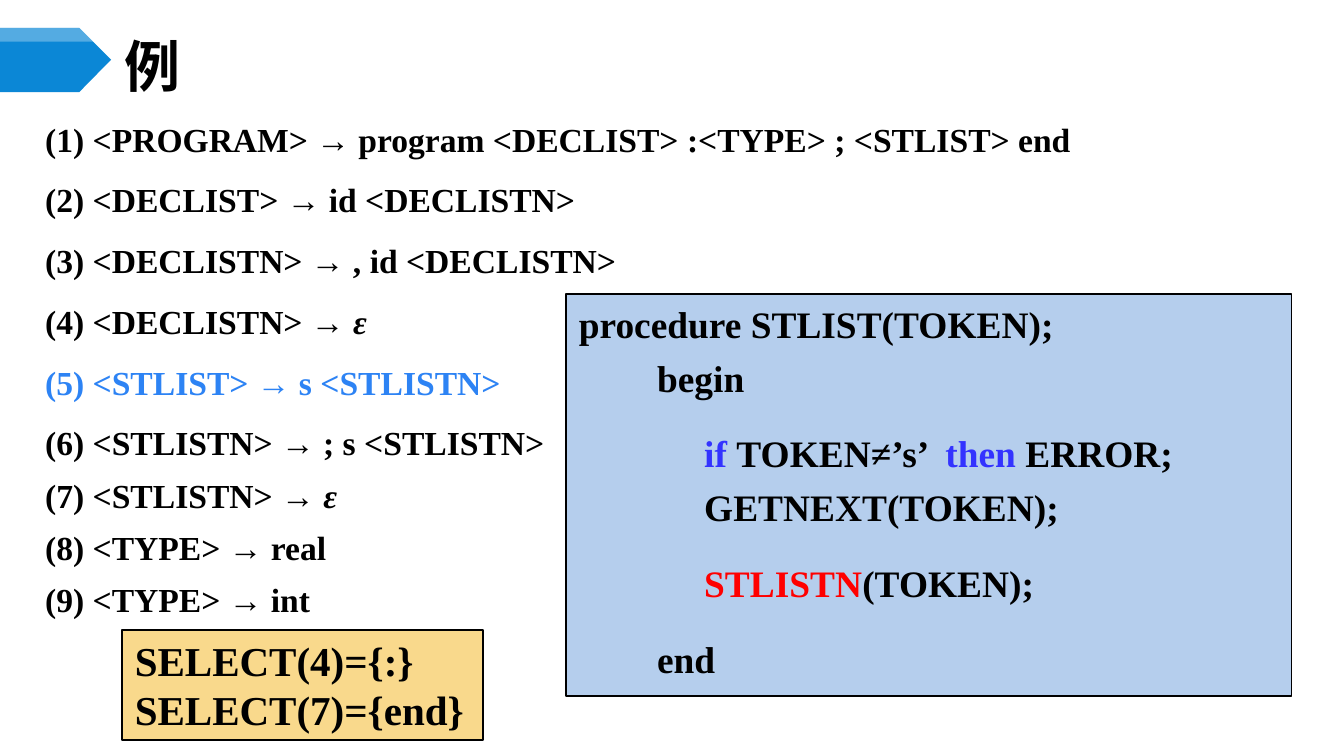
from lxml.etree import SubElement
from pptx import Presentation
from pptx.dml.color import RGBColor
from pptx.enum.shapes import MSO_SHAPE
from pptx.enum.text import MSO_ANCHOR, MSO_AUTO_SIZE, PP_ALIGN
from pptx.oxml.ns import qn
from pptx.util import Cm, Pt

COLORS = {
    "black": "000000", "white": "FFFFFF", "arrow": "0B87D6",
    "current": "2D83F4", "keyword": "3333FF", "call": "FF0000",
    "code": "B5CEED", "select": "F9D98C",
}
SERIF = "Times New Roman"
SANS = "Noto Sans CJK SC"


def rgb(name):
    return RGBColor.from_string(COLORS[name])


def write(para, spans, size, color="black", name=SERIF):
    """Fill a paragraph with (text, colour, italic) spans in one bold font."""
    para.alignment = PP_ALIGN.LEFT
    font = para.font
    font.size, font.name, font.bold = Pt(size), name, True
    font.color.rgb = rgb(color)
    for text, span_color, italic in spans:
        span = para.add_run()
        span.text = text
        if span_color:
            span.font.color.rgb = rgb(span_color)
        if italic:
            span.font.italic = True


deck = Presentation()
deck.slide_width = Cm(25.4)
deck.slide_height = deck.slide_width * 9 // 16
page = deck.slides.add_slide(deck.slide_layouts[1])
title, rules = page.shapes.title, page.placeholders[1]

# Arrow at the left edge, then a translucent band along its top
arrow_parts = [
    ("arrow", [(0, 0.53), (1.5, 0.53), (2.1, 1.13), (1.5, 1.74), (0, 1.74)]),
    ("white", [(0, 0.53), (1.5, 0.53), (1.76, 0.79), (0, 0.79)]),
]
for color, points in arrow_parts:
    corners = [(Cm(x), Cm(y)) for x, y in points]
    builder = page.shapes.build_freeform(*corners[0])
    builder.add_line_segments(corners[1:])
    part = builder.convert_to_shape()
    part.shadow.inherit = False
    part.fill.solid()
    part.fill.fore_color.rgb = rgb(color)
    part.line.fill.background()
band_color = part._element.spPr.find(qn("a:solidFill"))[0]
SubElement(band_color, qn("a:alpha"), val="30000")

# Title
title.left, title.top, title.width, title.height = Cm(2.1), Cm(0.74), Cm(10.8), Cm(1)
title.text_frame.auto_size = MSO_AUTO_SIZE.NONE
title.text_frame.vertical_anchor = MSO_ANCHOR.MIDDLE
heading = title.text_frame.paragraphs[0]
write(heading, [("例", None, False)], 30, name=SANS)
SubElement(heading.font._element, qn("a:ea"), typeface=SANS)

# Grammar rules: left side, right side
grammar = [
    ("<PROGRAM>", "program <DECLIST> :<TYPE> ; <STLIST> end"),
    ("<DECLIST>", "id <DECLISTN>"),
    ("<DECLISTN>", ", id <DECLISTN>"),
    ("<DECLISTN>", "ε"),
    ("<STLIST>", "s <STLISTN>"),
    ("<STLISTN>", "; s <STLISTN>"),
    ("<STLISTN>", "ε"),
    ("<TYPE>", "real"),
    ("<TYPE>", "int"),
]
rules.left, rules.top, rules.width, rules.height = Cm(0.6), Cm(1.89), Cm(24.2), Cm(9.93)
frame = rules.text_frame
frame.auto_size = MSO_AUTO_SIZE.NONE
for number, (left, right) in enumerate(grammar, 1):
    para = frame.paragraphs[0] if number == 1 else frame.add_paragraph()
    props = para._p.get_or_add_pPr()
    props.set("marL", "0")
    props.set("indent", "0")
    SubElement(props, qn("a:buNone"))
    para.line_spacing = Pt(28)
    para.space_before = Pt(4.5 if 1 < number < 7 else 0)
    if right == "ε":
        spans = [(f"({number}) {left} → ", None, False), (right, None, True)]
    else:
        spans = [(f"({number}) {left} → {right}", None, False)]
    write(para, spans, 18, "current" if number == 5 else "black")

# Lines of each box: indent in cm, space before in pt, spans
select_lines = [
    (0, 0, [("SELECT(4)={:}", None, False)]),
    (0, 0, [("SELECT(7)={end}", None, False)]),
]
code_lines = [
    (0, 0, [("procedure STLIST(TOKEN);", None, False)]),
    (1.48, 5, [("begin", None, False)]),
    (2.37, 16.5, [("if ", "keyword", False), ("TOKEN≠’s’  ", None, False),
                  ("then ", "keyword", False), ("ERROR;", None, False)]),
    (2.37, 5, [("GETNEXT(TOKEN);", None, False)]),
    (2.37, 16.5, [("STLISTN", "call", False), ("(TOKEN);", None, False)]),
    (1.48, 16.5, [("end", None, False)]),
]
boxes = [
    ("select", (2.3, 11.9, 6.83, 2.08), 22, False, MSO_ANCHOR.MIDDLE, select_lines),
    ("code", (10.69, 5.56, 13.72, 7.59), 20, True, MSO_ANCHOR.TOP, code_lines),
]
for fill, place, size, wrap, anchor, lines in boxes:
    box = page.shapes.add_shape(MSO_SHAPE.RECTANGLE, *map(Cm, place))
    box.shadow.inherit = False
    box.fill.solid()
    box.fill.fore_color.rgb = rgb(fill)
    box.line.color.rgb = rgb("black")
    box.line.width = Pt(1)
    frame = box.text_frame
    frame.word_wrap, frame.vertical_anchor = wrap, anchor
    for index, (indent, before, spans) in enumerate(lines):
        para = frame.add_paragraph() if index else frame.paragraphs[0]
        para._p.get_or_add_pPr().set("marL", str(Cm(indent)))
        para.space_before = Pt(before)
        write(para, spans, size)

deck.save("out.pptx")
